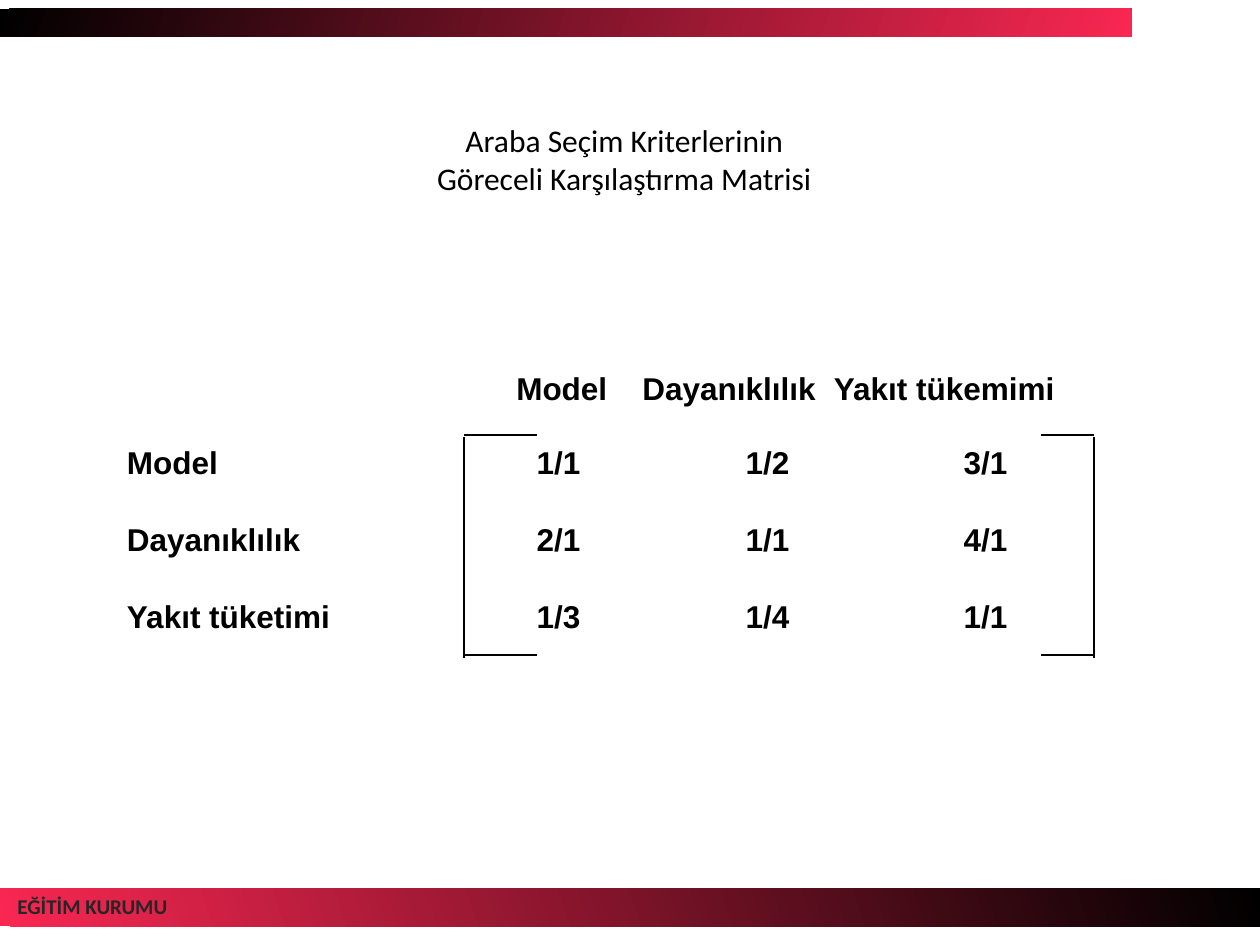
from dataclasses import dataclass

from lxml.etree import SubElement
from pptx import Presentation
from pptx.dml.color import RGBColor
from pptx.enum.shapes import MSO_CONNECTOR, MSO_SHAPE
from pptx.enum.text import MSO_ANCHOR, MSO_AUTO_SIZE, PP_ALIGN
from pptx.oxml.ns import qn
from pptx.slide import Slide
from pptx.text.text import TextFrame
from pptx.util import Inches, Pt


@dataclass(frozen=True)
class Theme:
    black: RGBColor = RGBColor(0x00, 0x00, 0x00)
    white: RGBColor = RGBColor(0xFF, 0xFF, 0xFF)
    red: RGBColor = RGBColor(0xF9, 0x27, 0x52)
    gray: RGBColor = RGBColor(0x26, 0x26, 0x26)
    heading_font: str = "Calibri"
    matrix_font: str = "Arial"
    body_size: float = 18
    footer_size: float = 12
    row_gap: float = 22.4
    line_width: float = 1


@dataclass(frozen=True)
class Box:
    left: float
    top: float
    width: float
    height: float

    def lengths(self) -> tuple:
        return tuple(map(Inches, (self.left, self.top, self.width, self.height)))


@dataclass(frozen=True)
class Band:
    box: Box
    start: RGBColor
    end: RGBColor
    angle: float


@dataclass(frozen=True)
class TextBlock:
    box: Box
    lines: tuple[str, ...]
    tabs: tuple[float, ...] = ()
    font: str = "Arial"
    size: float = 18
    color: RGBColor = RGBColor(0, 0, 0)


@dataclass(frozen=True)
class Bracket:
    spine: float
    tip: float


THEME = Theme()
BRACKET_TOP, BRACKET_BOTTOM = 3.45, 5.2

BANDS = (
    Band(Box(0, 7.05, 10, 0.3), THEME.red, THEME.black, 19),
    Band(Box(0, 0.07, 8.98, 0.22), THEME.black, THEME.red, 341),
)
TEXT_BLOCKS = (
    TextBlock(Box(0.04, 7.04, 1.55, 0.3), ("EĞİTİM KURUMU",),
              font=THEME.heading_font, size=THEME.footer_size, color=THEME.gray),
    TextBlock(Box(0.91, 3.47, 1.83, 1.62), ("Model", "Dayanıklılık", "Yakıt tüketimi")),
    TextBlock(Box(4, 2.88, 4.5, 0.4), ("Model\tDayanıklılık\tYakıt tükemimi",), (1, 2.52)),
    TextBlock(Box(4.16, 3.47, 3.95, 1.6),
              ("1/1\t1/2\t3/1", "2/1\t1/1\t4/1", "1/3\t1/4\t1/1"), (1.66, 3.39)),
)
BRACKETS = (Bracket(8.68, 8.26), Bracket(3.68, 4.26))


def add_band(slide: Slide, band: Band) -> None:
    shape = slide.shapes.add_shape(MSO_SHAPE.RECTANGLE, *band.box.lengths())
    shape.shadow.inherit = False
    shape.line.fill.background()
    shape.fill.gradient()
    shape.fill.gradient_angle = band.angle
    for stop, color, position in zip(shape.fill.gradient_stops, (band.start, band.end), (0, 1)):
        stop.color.rgb = color
        stop.position = position


def format_runs(text_frame: TextFrame, font: str, size: float, color: RGBColor, bold: bool) -> None:
    for paragraph in text_frame.paragraphs:
        for run in paragraph.runs:
            run.font.name = font
            run.font.size = Pt(size)
            run.font.color.rgb = color
            run.font.bold = bold


def add_text(slide: Slide, block: TextBlock) -> None:
    text_frame = slide.shapes.add_textbox(*block.box.lengths()).text_frame
    text_frame.word_wrap = True
    text_frame.text = "\n".join(block.lines)
    for index, paragraph in enumerate(text_frame.paragraphs):
        if index:
            paragraph.space_before = Pt(THEME.row_gap)
        if block.tabs:
            tab_list = SubElement(paragraph._p.get_or_add_pPr(), qn("a:tabLst"))
            for position in block.tabs:
                SubElement(tab_list, qn("a:tab"), pos=str(Inches(position)), algn="l")
    format_runs(text_frame, block.font, block.size, block.color, True)


def add_line(slide: Slide, start: tuple[float, float], end: tuple[float, float]) -> None:
    line = slide.shapes.add_connector(MSO_CONNECTOR.STRAIGHT, *map(Inches, start + end))
    line.line.color.rgb = THEME.black
    line.line.width = Pt(THEME.line_width)
    SubElement(line._element.spPr, qn("a:effectLst"))


def add_bracket(slide: Slide, bracket: Bracket) -> None:
    for height in (BRACKET_TOP, BRACKET_BOTTOM):
        add_line(slide, (bracket.spine, height), (bracket.tip, height))
    add_line(slide, (bracket.spine, BRACKET_TOP + 0.02), (bracket.spine, BRACKET_BOTTOM + 0.02))


def set_title(slide: Slide) -> None:
    title = slide.shapes.title
    title.left, title.top, title.width, title.height = Box(0.9, 0.76, 8.11, 1).lengths()
    title.fill.solid()
    title.fill.fore_color.rgb = THEME.white
    text_frame = title.text_frame
    text_frame.text = "Araba Seçim Kriterlerinin\nGöreceli Karşılaştırma Matrisi"
    text_frame.auto_size = MSO_AUTO_SIZE.NONE
    text_frame.vertical_anchor = MSO_ANCHOR.MIDDLE
    for paragraph in text_frame.paragraphs:
        paragraph.alignment = PP_ALIGN.CENTER
    format_runs(text_frame, THEME.heading_font, THEME.body_size, THEME.black, False)


def main() -> None:
    presentation = Presentation()
    presentation.slide_width = Inches(10)
    presentation.slide_height = Inches(7.5)
    slide = presentation.slides.add_slide(presentation.slide_layouts[5])
    set_title(slide)
    for band in BANDS:
        add_band(slide, band)
    for bracket in BRACKETS:
        add_bracket(slide, bracket)
    for block in TEXT_BLOCKS:
        add_text(slide, block)
    presentation.save("out.pptx")


if __name__ == "__main__":
    main()
